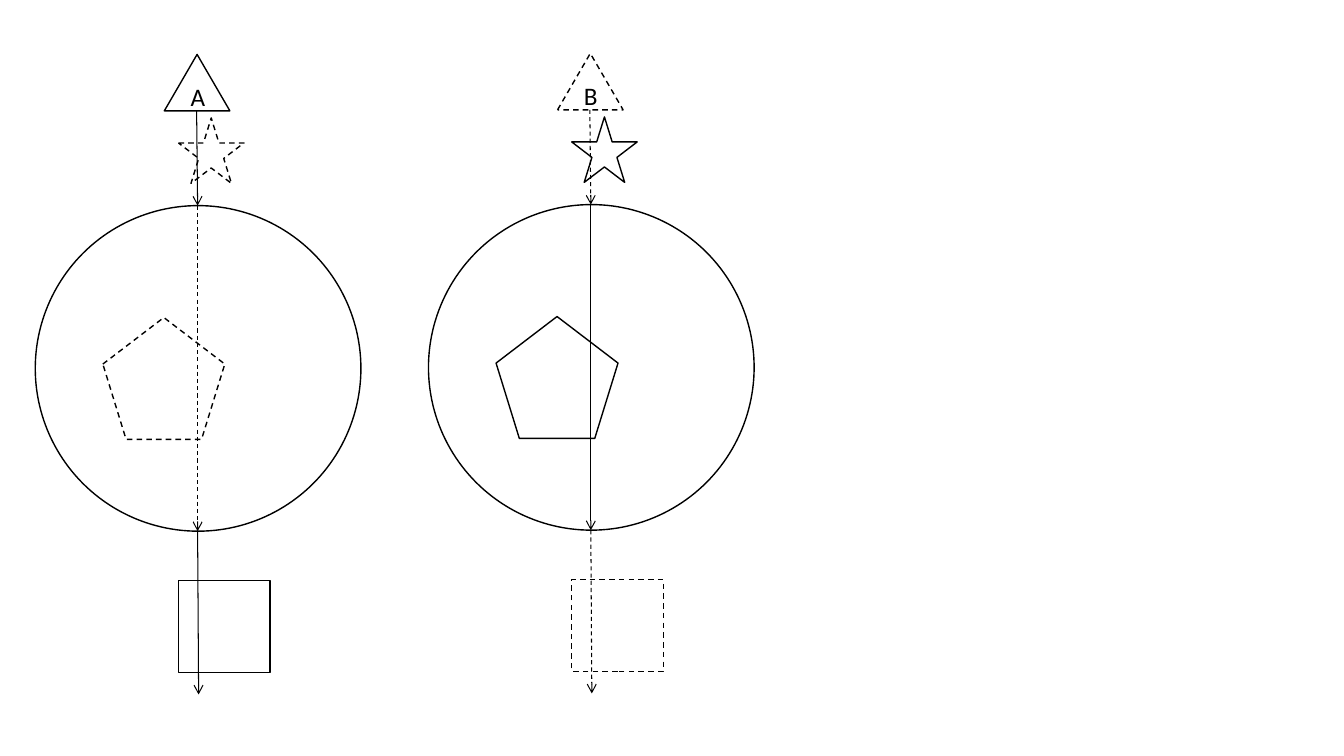
from dataclasses import dataclass

from lxml import etree
from pptx import Presentation
from pptx import util as u
from pptx.dml.color import RGBColor
from pptx.enum import dml, shapes, text
from pptx.oxml.ns import qn

PX = 9144  # EMU in one px, 100 px to the inch
BLACK, WHITE = "000000", "FFFFFF"
KIND = shapes.MSO_SHAPE


@dataclass(frozen=True)
class Figure:
    kind: KIND
    x: int
    y: int
    w: int
    h: int
    filled: bool = False
    dashed: bool = False
    always_solid: bool = False
    labelled: bool = False


@dataclass(frozen=True)
class Arrow:
    x1: int
    y1: int
    x2: int
    y2: int
    dashed: bool = False


@dataclass(frozen=True)
class Panel:
    """One diagram; a swapped panel exchanges solid and dashed lines."""
    label: str
    dx: int
    dy: int
    swapped: bool


FIGURES = [
    Figure(KIND.OVAL, 35, 204, 323, 323, filled=True, always_solid=True),
    Figure(KIND.ISOSCELES_TRIANGLE, 163, 54, 65, 56, filled=True, labelled=True),
    Figure(KIND.REGULAR_PENTAGON, 102, 315, 121, 121, dashed=True),
    Figure(KIND.RECTANGLE, 177, 576, 91, 91),
    Figure(KIND.STAR_5_POINT, 177, 117, 65, 65, dashed=True),
]
ARROWS = [
    Arrow(195, 110, 196, 204),
    Arrow(196, 204, 196, 527, dashed=True),
    Arrow(196, 527, 197, 689),
]
PANELS = [Panel("A", 0, 0, False), Panel("B", 390, -1, True)]


def px(n: int) -> u.Emu:
    return u.Emu(n * PX)


def rgb(value: str) -> RGBColor:
    return RGBColor.from_string(value)


def style_line(line, width: float, dashed: bool) -> None:
    line.color.rgb = rgb(BLACK)
    line.width = u.Pt(width)
    if dashed:
        line.dash_style = dml.MSO_LINE.DASH


def write_label(sp, label: str) -> None:
    tf = sp.text_frame
    tf.text = label
    tf.vertical_anchor = text.MSO_ANCHOR.MIDDLE
    p = tf.paragraphs[0]
    p.alignment = text.PP_ALIGN.CENTER
    r = p.runs[0]
    r.font.name = "Calibri"
    r.font.size = u.Pt(18)
    r.font.color.rgb = rgb(BLACK)


def draw_figure(s, fig: Figure, panel: Panel) -> None:
    sp = s.shapes.add_shape(fig.kind, px(fig.x + panel.dx), px(fig.y + panel.dy),
                            px(fig.w), px(fig.h))
    sp.shadow.inherit = False
    if fig.filled:
        sp.fill.solid()
        sp.fill.fore_color.rgb = rgb(WHITE)
    else:
        sp.fill.background()
    style_line(sp.line, 1, not fig.always_solid and fig.dashed != panel.swapped)
    if fig.labelled:
        write_label(sp, panel.label)


def draw_arrow(s, arrow: Arrow, panel: Panel) -> None:
    dx, dy = panel.dx, panel.dy
    cxn = s.shapes.add_connector(shapes.MSO_CONNECTOR.STRAIGHT,
                                 px(arrow.x1 + dx), px(arrow.y1 + dy),
                                 px(arrow.x2 + dx), px(arrow.y2 + dy))
    style_line(cxn.line, 0.75, arrow.dashed != panel.swapped)
    sp_pr = cxn._element.spPr
    etree.SubElement(sp_pr.find(qn("a:ln")), qn("a:tailEnd"), type="arrow")
    etree.SubElement(sp_pr, qn("a:effectLst"))


def main() -> None:
    prs = Presentation()
    prs.slide_width, prs.slide_height = px(1333), px(750)
    s = prs.slides.add_slide(prs.slide_layouts[6])
    for panel in PANELS:
        for fig in FIGURES:
            draw_figure(s, fig, panel)
        for arrow in ARROWS:
            draw_arrow(s, arrow, panel)
    prs.save("out.pptx")


if __name__ == "__main__":
    main()
